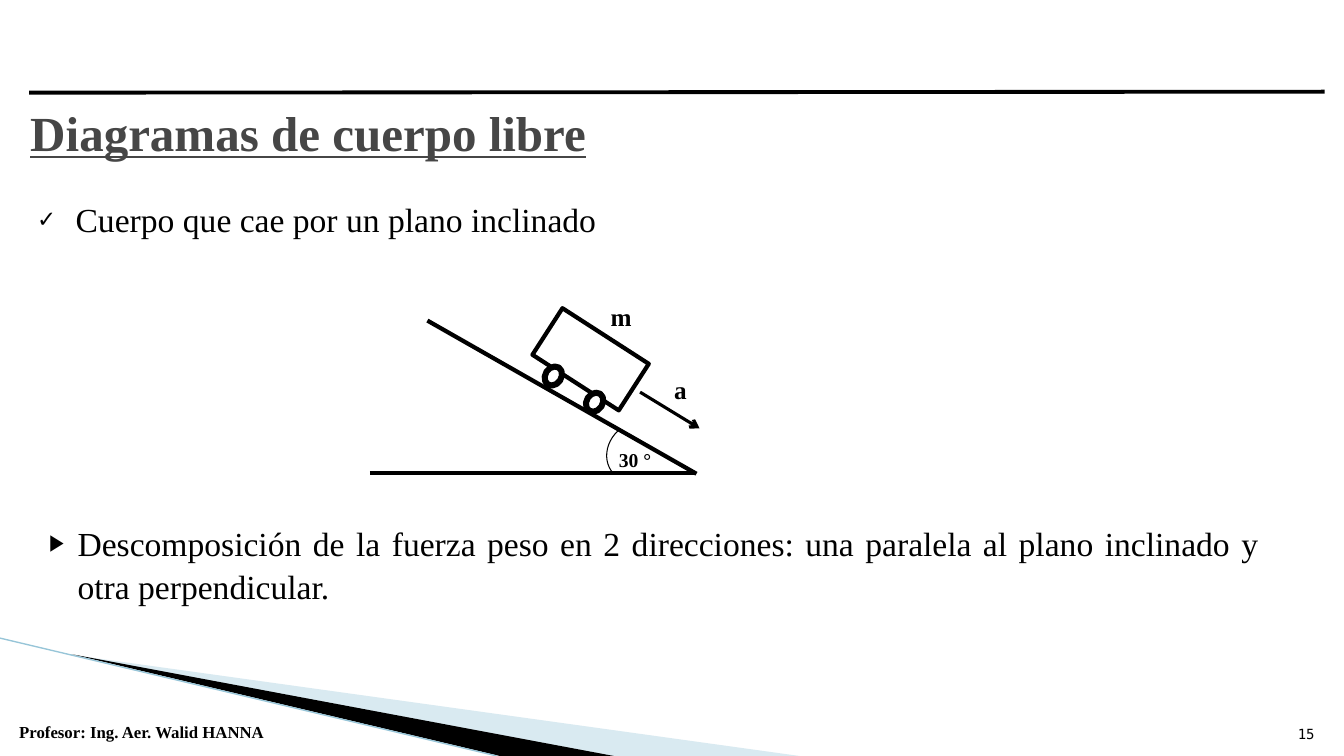
from dataclasses import dataclass

from lxml.etree import SubElement
from pptx import Presentation
from pptx.dml.color import RGBColor
from pptx.enum.shapes import MSO_CONNECTOR, MSO_SHAPE
from pptx.enum.text import MSO_ANCHOR, MSO_AUTO_SIZE, PP_ALIGN
from pptx.oxml.ns import qn
from pptx.util import Pt

BLACK = RGBColor(0x00, 0x00, 0x00)
WHITE = RGBColor(0xFF, 0xFF, 0xFF)
GREY = RGBColor(0x46, 0x46, 0x46)
PALE = RGBColor(0xA0, 0xCB, 0xDC)
SKY = RGBColor(0x97, 0xC5, 0xD8)
SERIF = "Times New Roman"
MONO = "DejaVu Sans Mono"
TILT = 32.8


@dataclass
class Line:
    start: tuple[float, float]
    end: tuple[float, float]
    width: float
    color: RGBColor = BLACK
    arrow: bool = False


@dataclass
class Part:
    kind: MSO_SHAPE
    box: tuple[float, float, float, float]
    turn: float
    width: float
    filled: bool = True


@dataclass
class Label:
    text: str
    box: tuple[float, float, float, float]
    size: float
    font: str = SERIF
    bold: bool = True
    align: PP_ALIGN = PP_ALIGN.LEFT
    anchor: MSO_ANCHOR = MSO_ANCHOR.TOP


@dataclass
class Wedge:
    points: list[tuple[float, float]]
    color: RGBColor
    alpha: int = 100


@dataclass
class Item:
    text: str
    mark: str
    left: float
    hang: float
    before: float
    align: PP_ALIGN


WEDGES = [
    Wedge([(52.6, 468), (571, 540), (437.8, 540)], PALE, 40),
    Wedge([(51.1, 467.3), (438.5, 540), (357.1, 540)], BLACK),
]
FRAME = [
    Line((0, 455.8), (355, 540), 0.95, SKY),
    Line((20.9, 66.2), (946.1, 65.5), 2.75),
]
PARTS = [
    Part(MSO_SHAPE.RECTANGLE, (385.2, 236.9, 73.4, 39.6), TILT, 3),
    Part(MSO_SHAPE.OVAL, (419, 280.1, 11.5, 14.4), TILT, 4.33),
    Part(MSO_SHAPE.OVAL, (389.5, 261.4, 11.5, 14.4), TILT, 4.33),
    Part(MSO_SHAPE.ARC, (434.9, 299.5, 40.3, 46.1), 226.9, 0.75, False),
]
LINES = [
    Line((457.2, 280.1), (499.7, 306), 2.25, arrow=True),
    Line((264.2, 337.7), (496.8, 337.7), 3),
    Line((305.3, 229), (497.5, 338.4), 3),
]
LABELS = [
    Label("a", (474.5, 263.5, 25.2, 28.8), 18),
    Label("30 °", (434.9, 316.1, 39.6, 24.5), 14),
    Label("m", (429.1, 211.7, 33.8, 28.8), 18),
    Label("Profesor: Ing. Aer. Walid HANNA", (5.8, 504.7, 190.1, 28.8), 12,
          align=PP_ALIGN.RIGHT, anchor=MSO_ANCHOR.BOTTOM),
    Label("15", (907.9, 504.7, 38.2, 28.8), 10, MONO, False,
          PP_ALIGN.RIGHT, MSO_ANCHOR.BOTTOM),
]
ITEMS = [
    Item("Cuerpo que cae por un plano inclinado", "✓",
         27.4, 27.4, 0, PP_ALIGN.LEFT),
    Item("Descomposición de la fuerza peso en 2 direcciones: una paralela "
         "al plano inclinado y otra perpendicular.", "▶",
         28.8, 20.2, 200, PP_ALIGN.JUSTIFY),
]


def write(para, text: str, *, size: float, font: str = SERIF,
          color: RGBColor = BLACK, bold: bool = False,
          under: bool = False, align: PP_ALIGN = PP_ALIGN.LEFT) -> None:
    para.alignment = align
    run = para.add_run()
    run.text = text
    face = run.font
    face.size, face.name = Pt(size), font
    face.bold, face.underline = bold, under
    face.color.rgb = color


def place(shape, box: tuple[float, float, float, float]) -> None:
    shape.left, shape.top, shape.width, shape.height = map(Pt, box)


def draw_line(slide, line: Line) -> None:
    ends = map(Pt, line.start + line.end)
    link = slide.shapes.add_connector(MSO_CONNECTOR.STRAIGHT, *ends)
    link.line.color.rgb = line.color
    link.line.width = Pt(line.width)
    if line.arrow:
        SubElement(link.line._get_or_add_ln(), qn("a:tailEnd"), type="arrow")
    SubElement(link._element.spPr, qn("a:effectLst"))


def draw_part(slide, part: Part) -> None:
    shape = slide.shapes.add_shape(part.kind, *map(Pt, part.box))
    shape.shadow.inherit = False
    shape.rotation = part.turn
    if part.filled:
        shape.fill.solid()
        shape.fill.fore_color.rgb = WHITE
    else:
        shape.fill.background()
    shape.line.color.rgb = BLACK
    shape.line.width = Pt(part.width)


def draw_wedge(slide, wedge: Wedge) -> None:
    first, *rest = [(Pt(x), Pt(y)) for x, y in wedge.points]
    pen = slide.shapes.build_freeform(*first)
    pen.add_line_segments(rest, close=True)
    shape = pen.convert_to_shape()
    shape.shadow.inherit = False
    shape.line.fill.background()
    shape.fill.solid()
    shape.fill.fore_color.rgb = wedge.color
    if wedge.alpha < 100:
        tint = shape._element.spPr.find(f".//{qn('a:srgbClr')}")
        SubElement(tint, qn("a:alpha"), val=str(wedge.alpha * 1000))


def draw_label(slide, label: Label) -> None:
    frame = slide.shapes.add_textbox(*map(Pt, label.box)).text_frame
    frame.word_wrap = True
    frame.vertical_anchor = label.anchor
    write(frame.paragraphs[0], label.text, size=label.size, font=label.font,
          bold=label.bold, align=label.align)


def add_item(para, item: Item) -> None:
    props = para._p.get_or_add_pPr()
    props.set("marL", str(Pt(item.left)))
    props.set("indent", str(-Pt(item.hang)))
    SubElement(props, qn("a:buSzPct"), val="68000")
    SubElement(props, qn("a:buChar"), char=item.mark)
    para.line_spacing = 1.07
    para.space_before = Pt(item.before)
    write(para, item.text, size=24, align=item.align)


def main() -> None:
    deck = Presentation()
    deck.slide_width, deck.slide_height = Pt(960), Pt(540)
    slide = deck.slides.add_slide(deck.slide_layouts[1])

    # Slide frame
    for wedge in WEDGES:
        draw_wedge(slide, wedge)
    for line in FRAME:
        draw_line(slide, line)

    # Title
    title = slide.shapes.title
    place(title, (14.4, 79.2, 925.2, 30.2))
    title.text_frame.auto_size = MSO_AUTO_SIZE.NONE
    title.text_frame.vertical_anchor = MSO_ANCHOR.MIDDLE
    write(title.text_frame.paragraphs[0], "Diagramas de cuerpo libre",
          size=35, color=GREY, bold=True, under=True)

    # List
    body = slide.placeholders[1]
    place(body, (19.4, 136.8, 887, 393.8))
    frame = body.text_frame
    frame.auto_size = MSO_AUTO_SIZE.NONE
    for rank, item in enumerate(ITEMS):
        add_item(frame.add_paragraph() if rank else frame.paragraphs[0], item)

    # Cart on the ramp, with its labels and the footer
    for part in PARTS:
        draw_part(slide, part)
    for line in LINES:
        draw_line(slide, line)
    for label in LABELS:
        draw_label(slide, label)

    deck.save("out.pptx")


if __name__ == "__main__":
    main()
